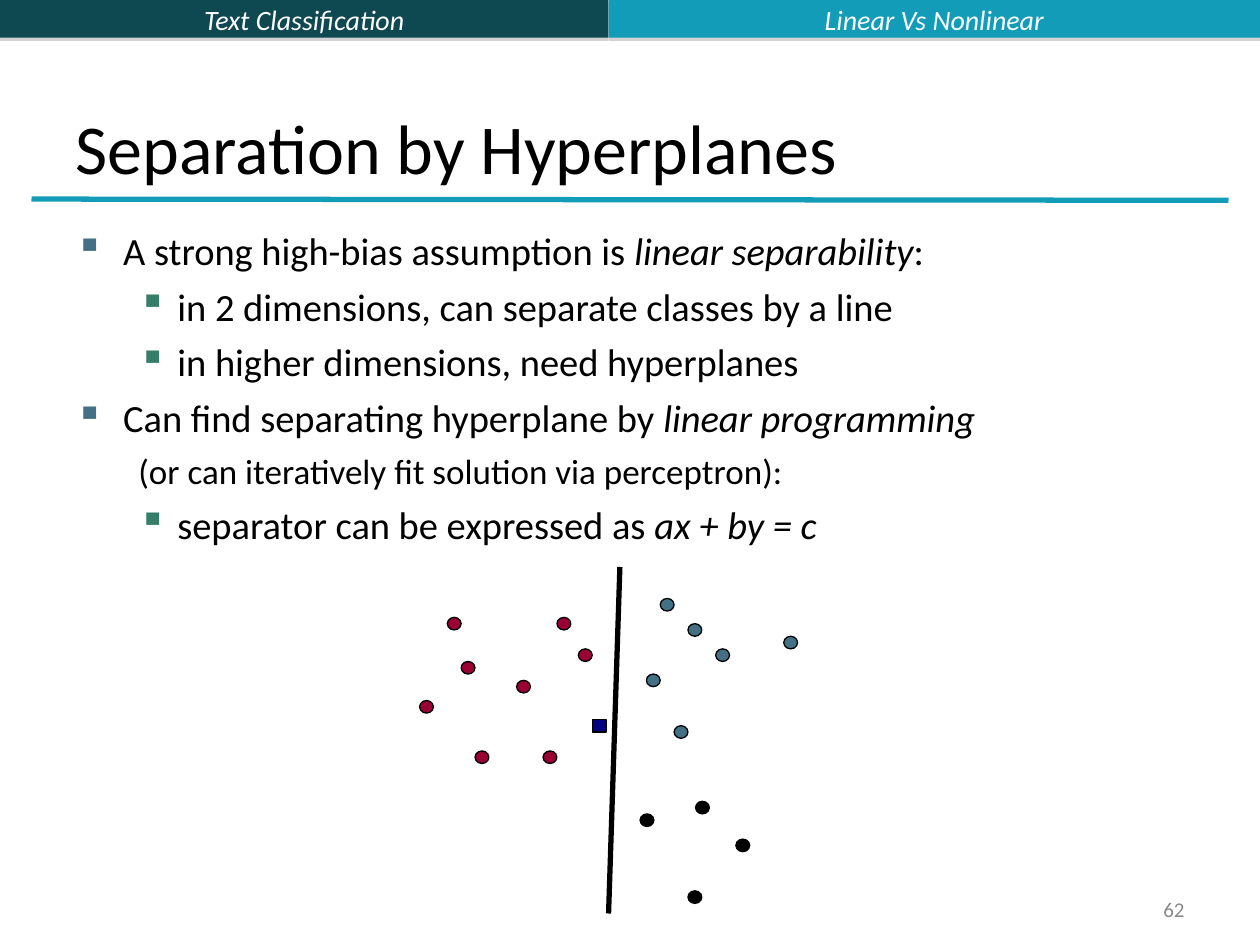
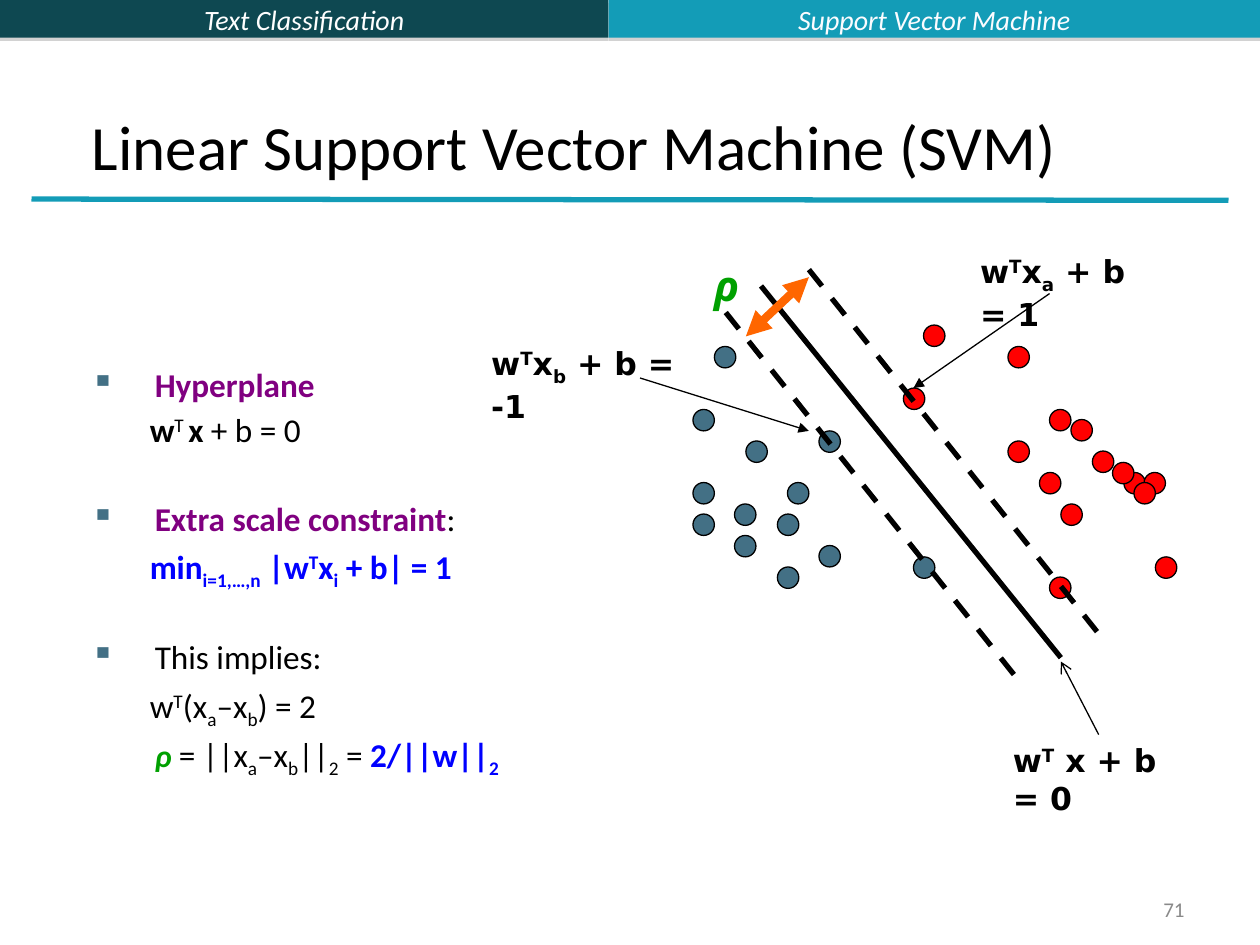
from dataclasses import dataclass

from lxml import etree
from pptx import Presentation
from pptx.dml.color import RGBColor
from pptx.enum import dml, shapes, text
from pptx.oxml import ns
from pptx.util import Inches, Pt


@dataclass(frozen=True)
class Theme:
    font: str = "Calibri"
    label_font: str = "DejaVu Sans"
    symbol_font: str = "Open Sans"
    band_dark: str = "0E4851"
    band_light: str = "139CB7"
    shadow: str = "808080"
    white: str = "FFFFFF"
    topic: str = "FBFCFF"
    black: str = "000000"
    grey: str = "898989"
    slate: str = "437085"
    green: str = "357E69"
    crimson: str = "990033"
    navy: str = "000080"
    red: str = "FF0000"
    orange: str = "FF6600"
    purple: str = "800080"
    blue: str = "0000FF"
    rho: str = "00A000"
    band_size: float = 16
    number_size: float = 12
    body_size: float = 22
    aside_size: float = 20
    formula_size: float = 19
    label_size: float = 18
    symbol_size: float = 24


T = Theme()
BOLD, ITALIC = {"bold": True}, {"italic": True}
SUP, SUB = {"baseline": 30000}, {"baseline": -25000}
TERM = BOLD | {"color": T.purple}
RESULT = BOLD | {"color": T.blue}
MARGIN = BOLD | ITALIC | {"color": T.rho}
LEFT, CENTER, RIGHT = text.PP_ALIGN.LEFT, text.PP_ALIGN.CENTER, text.PP_ALIGN.RIGHT
TOP, MIDDLE, BOTTOM = text.MSO_ANCHOR.TOP, text.MSO_ANCHOR.MIDDLE, text.MSO_ANCHOR.BOTTOM


def write(frame, paragraphs, base, align=LEFT, anchor=TOP):
    """Fill a frame with (layout, runs) paragraphs; a run is (words, format)."""
    frame.word_wrap = True
    frame.auto_size = text.MSO_AUTO_SIZE.NONE
    frame.vertical_anchor = anchor
    for index, (layout, runs) in enumerate(paragraphs):
        paragraph = frame.add_paragraph() if index else frame.paragraphs[0]
        properties = paragraph._p.get_or_add_pPr()
        properties.set("marL", str(Inches(layout.get("left", 0))))
        properties.set("indent", str(Inches(layout.get("first", 0))))
        if "bullet" in layout:
            color = etree.SubElement(properties, ns.qn("a:buClr"))
            etree.SubElement(color, ns.qn("a:srgbClr"), val=layout["bullet"])
            etree.SubElement(properties, ns.qn("a:buChar"), char="▪")
        paragraph.alignment = align
        paragraph.line_spacing = layout.get("spacing", 1.0)
        paragraph.space_before = Pt(layout.get("before", 0) if index else 0)
        for words, own in runs:
            style = {"name": T.font, "color": T.black} | base | own
            run = paragraph.add_run()
            run.text = words
            run.font.color.rgb = RGBColor.from_string(style.pop("color"))
            run.font.size = Pt(style.pop("size"))
            if "baseline" in style:
                run._r.get_or_add_rPr().set("baseline", str(style.pop("baseline")))
            for name, value in style.items():
                setattr(run.font, name, value)


def draw_line(slide, start, end, color=T.black, width=3, dash=None, head=None, tail=None):
    line = slide.shapes.add_connector(
        shapes.MSO_CONNECTOR.STRAIGHT, *map(Inches, start + end))
    line.line.color.rgb = RGBColor.from_string(color)
    line.line.width = Pt(width)
    if dash:
        line.line.dash_style = dash
    outline = line.line._get_or_add_ln()
    for tag, kind in (("a:headEnd", head), ("a:tailEnd", tail)):
        if kind:
            etree.SubElement(outline, ns.qn(tag), type=kind)
    etree.SubElement(line._element.spPr, ns.qn("a:effectLst"))


deck = Presentation()
deck.slide_width, deck.slide_height = Inches(10), Inches(7.5)

# What the slides share: bands, title, rule and slide number
pages = [
    ("Linear Vs Nonlinear", "Separation by Hyperplanes", 40, (0.5, 0.3, 9, 1.25), "62"),
    ("Support Vector Machine", "Linear Support Vector Machine (SVM)", 36,
     (0.63, 0.17, 9.21, 1.33), "71"),
]
for topic, heading, heading_size, place, number in pages:
    slide = deck.slides.add_slide(deck.slide_layouts[5])
    title = slide.shapes.title
    title.left, title.top, title.width, title.height = map(Inches, place)
    write(title.text_frame, [({}, [(heading, {})])], {"size": heading_size}, anchor=BOTTOM)

    for left, width, fill, words, color in (
            (0, 4.83, T.band_dark, "Text Classification", T.white),
            (4.83, 5.17, T.band_light, topic, T.topic)):
        band = slide.shapes.add_shape(
            shapes.MSO_SHAPE.RECTANGLE, Inches(left), 0, Inches(width), Inches(0.3))
        band.fill.solid()
        band.fill.fore_color.rgb = RGBColor.from_string(fill)
        band.line.fill.background()
        band.shadow.inherit = False
        shadow = etree.SubElement(
            band._element.spPr.find(ns.qn("a:effectLst")), ns.qn("a:outerShdw"),
            dist=str(Pt(1.8)), dir="5400000", rotWithShape="0")
        shade = etree.SubElement(shadow, ns.qn("a:srgbClr"), val=T.shadow)
        etree.SubElement(shade, ns.qn("a:alpha"), val="35000")
        write(band.text_frame, [({}, [(words, ITALIC)])],
              {"size": T.band_size, "color": color}, CENTER, MIDDLE)

    draw_line(slide, (0.25, 1.58), (9.75, 1.59), T.band_light)
    number_box = slide.shapes.add_textbox(*map(Inches, (7.17, 7.08, 2.33, 0.27)))
    write(number_box.text_frame, [({}, [(number, {})])],
          {"size": T.number_size, "color": T.grey}, RIGHT, MIDDLE)

hyperplanes, svm = deck.slides

# Data points of both diagrams
OVAL, SQUARE = shapes.MSO_SHAPE.OVAL, shapes.MSO_SHAPE.RECTANGLE
SMALL, LARGE = (0.11, 0.1), (0.17, 0.17)
classes = [
    (hyperplanes, OVAL, SMALL, T.crimson, [
        (3.55, 4.9), (3.66, 5.25), (3.77, 5.96), (4.42, 4.9), (3.33, 5.56),
        (4.1, 5.4), (4.59, 5.15), (4.31, 5.96)]),
    (hyperplanes, OVAL, SMALL, T.slate, [
        (5.13, 5.35), (5.24, 4.75), (5.35, 5.76), (5.46, 4.95), (6.22, 5.05),
        (5.68, 5.15)]),
    (hyperplanes, OVAL, SMALL, T.black, [
        (5.52, 6.36), (5.08, 6.46), (5.46, 7.07), (5.84, 6.66)]),
    (hyperplanes, SQUARE, SMALL, T.navy, [(4.7, 5.71)]),
    (svm, OVAL, LARGE, T.slate, [
        (5.67, 2.75), (5.5, 3.83), (5.92, 3.5), (5.5, 4.08), (5.83, 4.25),
        (6.17, 4.08), (6.5, 4.33), (5.83, 4), (5.5, 3.25), (6.5, 3.42),
        (7.25, 4.42), (6.25, 3.83), (6.17, 4.5)]),
    (svm, OVAL, LARGE, T.red, [
        (7.33, 2.58), (8, 2.75), (8.33, 3.25), (7.17, 3.08), (8.67, 3.58),
        (8.92, 3.75), (8.42, 4), (9.08, 3.75), (9.17, 4.42), (8.33, 4.58),
        (8, 3.5), (8.5, 3.33), (8.25, 3.75), (8.83, 3.67), (9, 3.83)]),
]
for slide, kind, size, color, points in classes:
    for point in points:
        dot = slide.shapes.add_shape(kind, *map(Inches, point + size))
        dot.fill.solid()
        dot.fill.fore_color.rgb = RGBColor.from_string(color)
        dot.line.color.rgb = RGBColor.from_string(T.black)
        dot.line.width = Pt(0.75)
        dot.shadow.inherit = False

# Separators, margins and pointers
DASH = dml.MSO_LINE.DASH
draw_line(hyperplanes, (4.92, 4.5), (4.83, 7.25))
draw_line(svm, (6.04, 2.27), (8.42, 5.22))
draw_line(svm, (5.76, 2.48), (8.06, 5.37), dash=DASH)
draw_line(svm, (6.42, 2.14), (8.72, 5.03), dash=DASH)
draw_line(svm, (5.92, 2.67), (6.42, 2.2), T.orange, 4.75, head="triangle", tail="triangle")
for start, end, tip in (
        ((8.33, 2.33), (7.25, 3.08), "triangle"),
        ((5.08, 3), (6.42, 3.42), "triangle"),
        ((8.72, 5.83), (8.42, 5.25), "arrow")):
    draw_line(svm, start, end, width=0.75, tail=tip)

# Body texts and diagram labels
point = {"left": 0.38, "first": -0.38, "before": 5.5, "bullet": T.slate}
subpoint = {"left": 0.81, "first": -0.31, "before": 5.5, "bullet": T.green}
aside = {"left": 0.81, "first": -0.31, "before": 5}
topic = {"left": 0.51, "first": -0.51, "before": 30.5, "spacing": 0.9, "bullet": T.slate}
formula = {"left": 0.47, "before": 4.8, "spacing": 0.9}

separability = [
    (point, [("A strong high-bias assumption is ", {}),
             ("linear separability", ITALIC), (":", {})]),
    (subpoint, [("in 2 dimensions, can separate classes by a line", {})]),
    (subpoint, [("in higher dimensions, need hyperplanes", {})]),
    (point, [("Can find separating hyperplane by ", {}), ("linear programming", ITALIC)]),
    (aside, [("(or can iteratively fit solution via perceptron):", {"size": T.aside_size})]),
    (subpoint, [("separator can be expressed as ", {}), ("ax + by = c", ITALIC)]),
]
derivation = [
    (topic, [("Hyperplane", TERM)]),
    (formula, [("w", BOLD), ("T ", SUP), ("x", BOLD), (" + b = 0", {})]),
    (topic, [("Extra scale constraint", TERM), (":", {})]),
    (formula, [("min", RESULT), ("i=1,…,n", RESULT | SUB), (" |w", RESULT),
               ("T", RESULT | SUP), ("x", RESULT), ("i", RESULT | SUB),
               (" + b| = 1", RESULT)]),
    (topic, [("This implies:", {})]),
    (formula, [("w", {}), ("T", SUP), ("(x", {}), ("a", SUB), ("–x", {}), ("b", SUB),
               (") = 2", {})]),
    (formula | {"left": 0.51}, [
        ("ρ", MARGIN | {"size": T.label_size}), (" = ||x", {}), ("a", SUB), ("–x", {}),
        ("b", SUB), ("||", {}), ("2", SUB), (" = ", {}), ("2/||w||", RESULT),
        ("2", RESULT | SUB)]),
]
label = BOLD | {"size": T.label_size, "name": T.label_font}
symbol = MARGIN | {"size": T.symbol_size, "name": T.symbol_font}
for slide, place, paragraphs, base in (
        (hyperplanes, (0.5, 1.75, 9, 5.42), separability, {"size": T.body_size}),
        (svm, (0.62, 2.88, 7.71, 4.04), derivation, {"size": T.formula_size}),
        (svm, (7.94, 5.83, 1.55, 0.4),
         [({}, [("w", {}), ("T", SUP), (" x + b = 0", {})])], label),
        (svm, (7.68, 1.95, 1.57, 0.44),
         [({}, [("w", {}), ("T", SUP), ("x", {}), ("a", SUB), (" + b = 1", {})])], label),
        (svm, (3.8, 2.68, 1.66, 0.44),
         [({}, [("w", {}), ("T", SUP), ("x", {}), ("b", SUB), (" + b = -1", {})])], label),
        (svm, (5.57, 2.01, 0.4, 0.5), [({}, [("ρ", {})])], symbol)):
    box = slide.shapes.add_textbox(*map(Inches, place))
    write(box.text_frame, paragraphs, base)

deck.save("out.pptx")
